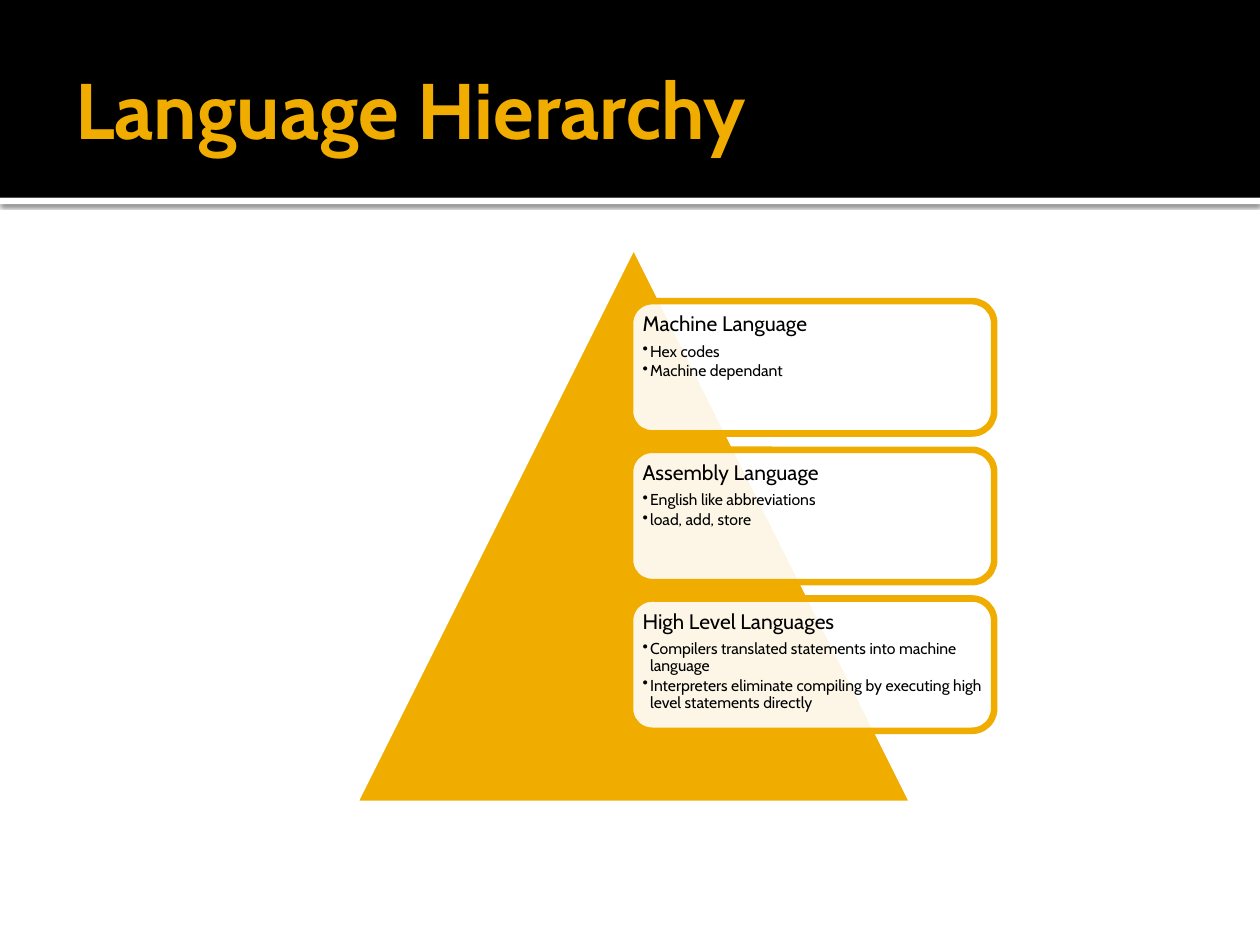
from pptx import Presentation
from pptx.dml.color import RGBColor
from pptx.enum.shapes import MSO_SHAPE as Kind
from pptx.enum.text import MSO_ANCHOR as Anchor
from pptx.oxml import parse_xml
from pptx.oxml.ns import nsdecls
from pptx.util import Inches, Pt

FONT, GOLD, WHITE, BLACK = "Cabin", "F0AD00", "FFFFFF", "000000"
HEAD = {"size": Pt(12), "name": FONT}
ITEM = {"size": Pt(9), "name": FONT}
TITLE = {"size": Pt(45), "name": FONT, "bold": True}
LEVELS = [
    ("Machine Language", ["Hex codes", "Machine dependant"]),
    ("Assembly Language", ["English like abbreviations", "load, add, store"]),
    ("High Level Languages", [
        "Compilers translated statements into machine language",
        "Interpreters eliminate compiling by executing high level statements directly",
    ]),
]


def color(fmt, code):
    if hasattr(fmt, "solid"):
        fmt.solid()
        fmt = fmt.fore_color
    else:
        fmt = fmt.color
    fmt.rgb = RGBColor.from_string(code)


def write(para, text, style, code):
    run = para.add_run()
    run.text = text
    for key, val in style.items():
        setattr(run.font, key, val)
    color(run.font.fill, code)


deck = Presentation()
deck.slide_width, deck.slide_height = Inches(10), Inches(7.5)
slide = deck.slides.add_slide(deck.slide_layouts[6])
shapes = slide.shapes

# Header strip with shadow, black band, pyramid, level boxes
top, step = 2.39, 1.18
parts = [
    (Kind.RECTANGLE, 0, 1.57, 10, 0.05, WHITE, None),
    (Kind.RECTANGLE, 0, 0, 10, 1.57, BLACK, None),
    (Kind.ISOSCELES_TRIANGLE, 2.81, 1.94, 4.44, 4.44, GOLD, WHITE),
]
parts += [(Kind.ROUNDED_RECTANGLE, 5, top + i * step, 2.89, 1.05, WHITE, GOLD)
          for i in range(len(LEVELS))]
drawn = []
for kind, x, y, w, h, fill, edge in parts:
    part = shapes.add_shape(kind, Inches(x), Inches(y), Inches(w), Inches(h))
    part.shadow.inherit = False
    color(part.fill, fill)
    if edge:
        color(part.line, edge)
        part.line.width = Pt(3.78)
    else:
        part.line.fill.background()
    drawn.append(part)

strip, boxes = drawn[0], drawn[3:]
glow = parse_xml(
    f'<a:outerShdw {nsdecls("a")} blurRad="{Pt(2.5)}" dist="{Pt(0.8)}" dir="5400000">'
    f'<a:srgbClr val="{BLACK}"><a:alpha val="60000"/></a:srgbClr></a:outerShdw>')
strip._element.spPr.find(".//{*}effectLst").append(glow)
for box in boxes:
    tint = box._element.spPr.find("{*}solidFill/{*}srgbClr")
    tint.append(parse_xml(f'<a:alpha {nsdecls("a")} val="90000"/>'))

# Title
note = shapes.add_textbox(Inches(0.5), Inches(0.17), Inches(9), Inches(1.37))
frame = note.text_frame
frame.word_wrap = True
frame.vertical_anchor = Anchor.MIDDLE
frame.margin_right = Inches(0.05)
write(frame.paragraphs[0], "Language Hierarchy", TITLE, GOLD)

# Level texts
for i, (head, items) in enumerate(LEVELS):
    note = shapes.add_textbox(Inches(5.05), Inches(top + 0.05 + i * step),
                              Inches(2.79), Inches(0.95))
    frame = note.text_frame
    frame.word_wrap = True
    for side in ("left", "right", "top", "bottom"):
        setattr(frame, f"margin_{side}", Inches(0.05))
    para = frame.paragraphs[0]
    para.line_spacing, para.space_after = 0.9, Pt(4.2)
    write(para, head, HEAD, BLACK)
    for item in items:
        para = frame.add_paragraph()
        para.level = 1
        para.line_spacing, para.space_after = 0.9, Pt(1.35)
        props = para._p.get_or_add_pPr()
        props.set("marL", str(Inches(0.06)))
        props.set("indent", str(-Inches(0.06)))
        props.append(parse_xml(f'<a:buChar {nsdecls("a")} char="•"/>'))
        write(para, item, ITEM, BLACK)

deck.save("out.pptx")
